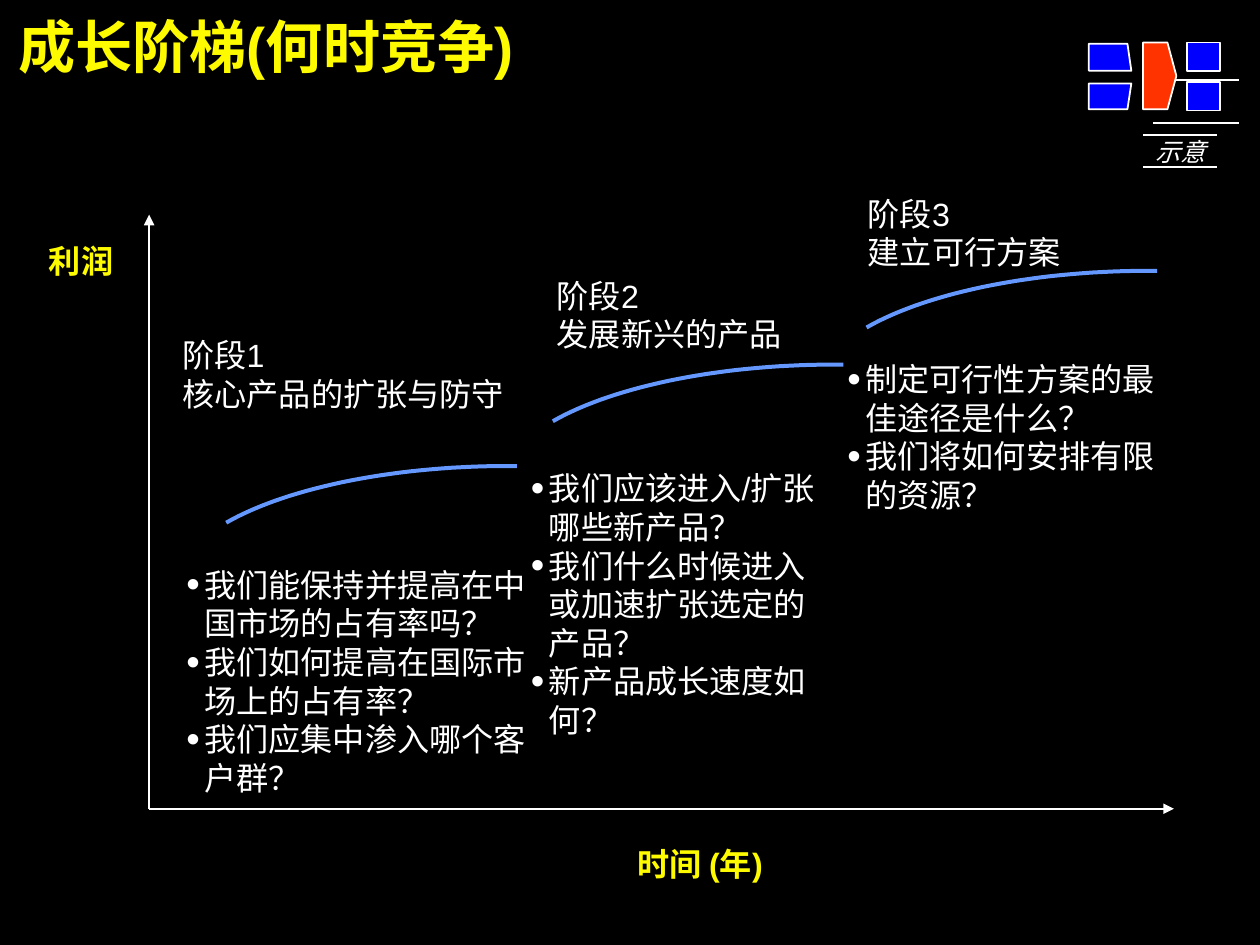
"""Build the growth-ladder slide: three stages of profit over time."""
from dataclasses import dataclass

from lxml import etree
from pptx import Presentation, util as u
from pptx.dml.color import RGBColor
from pptx.enum import lang, shapes, text
from pptx.oxml import ns


@dataclass(frozen=True)
class Theme:
    background: str = "000000"
    ink: str = "FFFFFF"
    accent: str = "FEFB00"
    curve: str = "6598FF"
    block: str = "0000FE"
    current_block: str = "FF3300"
    latin: str = "Arial"
    chinese: str = "Noto Sans CJK SC"
    title_size: float = 32
    body_size: float = 18
    tag_size: float = 14
    leading: float = 1.2
    top_gap: float = 0.11


@dataclass(frozen=True)
class Box:
    left: float
    top: float
    width: float
    height: float


@dataclass(frozen=True)
class Stage:
    heading: list[str]
    heading_box: Box
    questions: list[str]
    questions_box: Box
    curve_end: tuple[float, float]


@dataclass(frozen=True)
class Rule:
    start: tuple[float, float]
    end: tuple[float, float]
    weight: float = 1
    arrow: bool = False


@dataclass(frozen=True)
class Block:
    corners: list[tuple[float, float]]
    color: str


THEME = Theme()
CURVE_CONTROLS = [(0, 0), (-65.5, -0.7), (-127.4, 11.5), (-162.7, 31.7)]
CURVE_STEPS = 32

STAGES = [
    Stage(["阶段1", "核心产品的扩张与防守"], Box(102.2, 185.8, 187.2, 43.2),
          ["我们能保持并提高在中国市场的占有率吗？", "我们如何提高在国际市场上的占有率？",
           "我们应集中渗入哪个客户群？"],
          Box(103.7, 314.6, 192.2, 129.6), (289.4, 261.0)),
    Stage(["阶段2", "发展新兴的产品"], Box(311.8, 152.6, 187.2, 43.2),
          ["我们应该进入/扩张哪些新产品？", "我们什么时候进入或加速扩张选定的产品？",
           "新产品成长速度如何？"],
          Box(296.6, 260.6, 162.7, 151.2), (472.3, 204.2)),
    Stage(["阶段3", "建立可行方案"], Box(486, 106.6, 187.2, 43.2),
          ["制定可行性方案的最佳途径是什么？", "我们将如何安排有限的资源？"],
          Box(473.8, 199.4, 187.2, 86.4), (648, 151.7)),
]

ORIGIN = (83.5, 452.9)
AXES = [Rule(ORIGIN, (657.4, 452.9), arrow=True), Rule(ORIGIN, (83.5, 120.2), arrow=True)]
HEADER_RULES = [Rule((645.8, y), (694.1, y)) for y in (69.1, 44.6)]
TAG_RULES = [Rule((640.1, y), (681.8, y), 0.75) for y in (75.6, 93.6)]
NAVIGATOR_SQUARES = [Box(664.6, y, 18.7, 15.8) for y in (23.8, 46.1)]
NAVIGATOR_BLOCKS = [
    Block([(640.1, 23.8), (653.8, 23.8), (658.8, 42.5), (653.8, 61.2), (640.1, 61.2)],
          THEME.current_block),
    Block([(609.8, 61.2), (631.4, 61.2), (633.6, 46.8), (609.8, 46.8)], THEME.block),
    Block([(609.8, 24.5), (631.4, 24.5), (633.6, 39.6), (609.8, 39.6)], THEME.block),
]


def rgb(value: str) -> RGBColor:
    return RGBColor.from_string(value)


def add_xml(parent, tag: str, **attributes: str):
    return etree.SubElement(parent, ns.qn(tag), attributes)


def place(shape, box: Box) -> None:
    shape.left, shape.top = u.Pt(box.left), u.Pt(box.top)
    shape.width, shape.height = u.Pt(box.width), u.Pt(box.height)


def add_bullet(paragraph) -> None:
    properties = paragraph._p.get_or_add_pPr()
    properties.set("marL", str(u.Pt(10.8)))
    properties.set("indent", str(u.Pt(-10.1)))
    color = add_xml(properties, "a:buClr")
    add_xml(color, "a:srgbClr", val=THEME.ink)
    add_xml(properties, "a:buSzPct", val="120000")
    add_xml(properties, "a:buFont", typeface=THEME.latin)
    add_xml(properties, "a:buChar", char="•")


def remove_bullet(paragraph) -> None:
    properties = paragraph._p.get_or_add_pPr()
    properties.set("marL", "0")
    properties.set("indent", "0")
    add_xml(properties, "a:buNone")


def write(shape, lines: list[str], size: float, color: str, *, bold: bool = False,
          italic: bool = False, bullets: bool = False, wrap: bool = True,
          latin: str = THEME.latin, align=text.PP_ALIGN.LEFT) -> None:
    frame = shape.text_frame
    frame.text = "\n".join(lines)
    frame.auto_size = text.MSO_AUTO_SIZE.NONE
    frame.word_wrap = wrap
    frame.vertical_anchor = text.MSO_ANCHOR.TOP
    frame.margin_left = frame.margin_right = frame.margin_bottom = 0
    frame.margin_top = u.Pt(size * THEME.top_gap)
    for paragraph in frame.paragraphs:
        (add_bullet if bullets else remove_bullet)(paragraph)
        paragraph.alignment = align
        paragraph.space_before = paragraph.space_after = u.Pt(0)
        paragraph.line_spacing = u.Pt(size * THEME.leading)
        for run in paragraph.runs:
            run.font.size, run.font.bold, run.font.italic = u.Pt(size), bold, italic
            run.font.color.rgb = rgb(color)
            run.font.language_id = lang.MSO_LANGUAGE_ID.SIMPLIFIED_CHINESE
            run.font.name = latin
            add_xml(run._r.get_or_add_rPr(), "a:ea", typeface=THEME.chinese)


def add_text(slide, box: Box, lines: list[str], size: float, color: str, **style) -> None:
    label = slide.shapes.add_textbox(0, 0, 0, 0)
    place(label, box)
    write(label, lines, size, color, **style)


def add_rule(slide, rule: Rule) -> None:
    line = slide.shapes.add_connector(
        shapes.MSO_CONNECTOR.STRAIGHT, *(u.Pt(value) for value in rule.start + rule.end))
    line.line.color.rgb = rgb(THEME.ink)
    line.line.width = u.Pt(rule.weight)
    if rule.arrow:
        add_xml(line.line._get_or_add_ln(), "a:tailEnd", type="triangle")
    add_xml(line._element.spPr, "a:effectLst")


def add_outline(slide, points: list[tuple[float, float]], close: bool):
    vertices = [(u.Pt(x), u.Pt(y)) for x, y in points]
    builder = slide.shapes.build_freeform(*vertices[0])
    builder.add_line_segments(vertices[1:], close=close)
    return builder.convert_to_shape()


def paint_block(block, color: str) -> None:
    block.shadow.inherit = False
    block.fill.solid()
    block.fill.fore_color.rgb = rgb(color)
    block.line.color.rgb = rgb(THEME.ink)
    block.line.width = u.Pt(1)


def curve_point(end: tuple[float, float], t: float) -> tuple[float, float]:
    weights = ((1 - t) ** 3, 3 * t * (1 - t) ** 2, 3 * t ** 2 * (1 - t), t ** 3)
    x, y = (sum(w * p[axis] for w, p in zip(weights, CURVE_CONTROLS)) for axis in (0, 1))
    return end[0] + x, end[1] + y


def add_stage(slide, stage: Stage) -> None:
    points = [curve_point(stage.curve_end, step / CURVE_STEPS) for step in range(CURVE_STEPS + 1)]
    curve = add_outline(slide, points, close=False)
    curve.shadow.inherit = False
    curve.fill.background()
    curve.line.color.rgb = rgb(THEME.curve)
    curve.line.width = u.Pt(2.25)
    add_text(slide, stage.questions_box, stage.questions, THEME.body_size, THEME.ink, bullets=True)
    add_text(slide, stage.heading_box, stage.heading, THEME.body_size, THEME.ink)


def main() -> None:
    deck = Presentation()
    deck.slide_width, deck.slide_height = u.Pt(705.6), u.Pt(529.2)
    slide = deck.slides.add_slide(deck.slide_layouts[1])
    slide.background.fill.solid()
    slide.background.fill.fore_color.rgb = rgb(THEME.background)
    title, profit_label = slide.placeholders
    place(title, Box(10.1, 2.9, 683.3, 38.2))
    write(title, ["成长阶梯(何时竞争)"], THEME.title_size, THEME.accent, bold=True)
    place(profit_label, Box(27.4, 133.2, 83.5, 21.6))
    write(profit_label, ["利润"], THEME.body_size, THEME.accent, bold=True)
    for rule in HEADER_RULES + AXES + TAG_RULES:
        add_rule(slide, rule)
    for stage in STAGES:
        add_stage(slide, stage)
    add_text(slide, Box(357.1, 470.9, 72, 43.2), ["时间 (年)"], THEME.body_size, THEME.accent,
             bold=True)
    add_text(slide, Box(647.3, 74.9, 28.1, 16.6), ["示意"], THEME.tag_size, THEME.ink, italic=True,
             wrap=False, latin=THEME.chinese, align=text.PP_ALIGN.RIGHT)
    for box in NAVIGATOR_SQUARES:
        square = slide.shapes.add_shape(shapes.MSO_SHAPE.RECTANGLE, 0, 0, 0, 0)
        place(square, box)
        paint_block(square, THEME.block)
    for block in NAVIGATOR_BLOCKS:
        paint_block(add_outline(slide, block.corners, close=True), block.color)
    deck.save("out.pptx")


if __name__ == "__main__":
    main()
